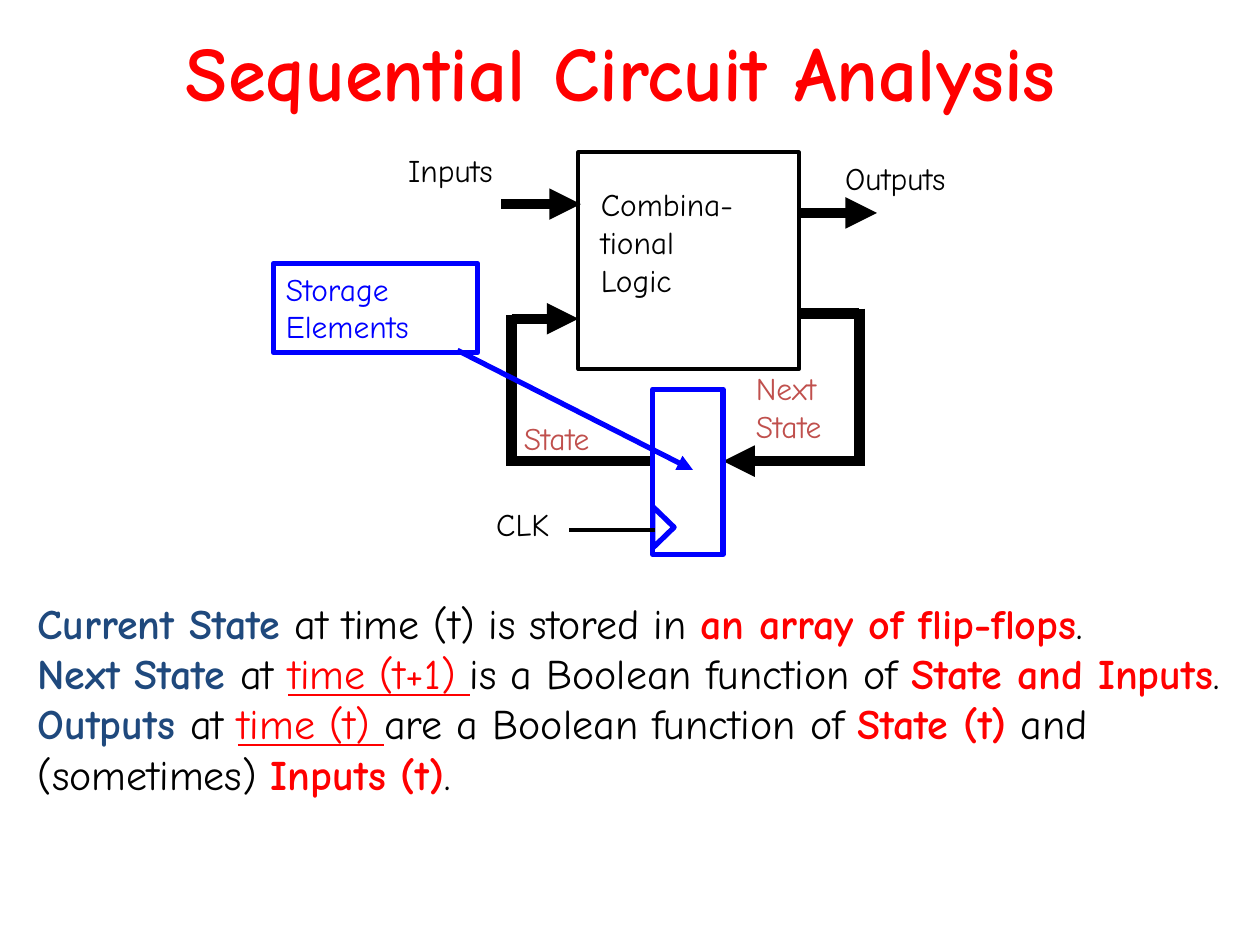
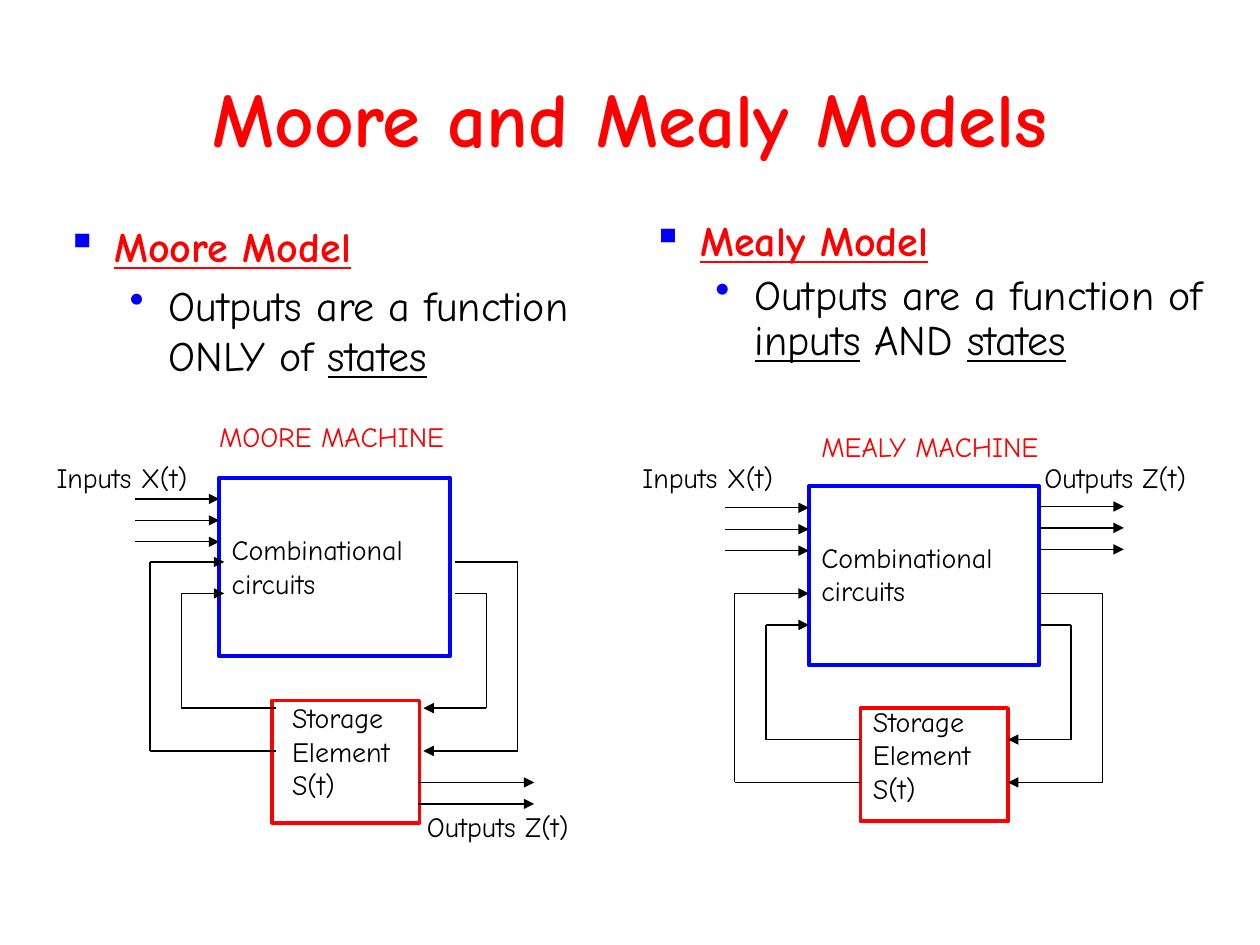
from lxml import etree
from pptx import Presentation
from pptx.dml.color import RGBColor
from pptx.enum.shapes import MSO_CONNECTOR as CONN, MSO_SHAPE as SHAPE
from pptx.enum.text import MSO_ANCHOR as ANCHOR, MSO_AUTO_SIZE as AUTO, PP_ALIGN as ALIGN
from pptx.oxml.ns import qn
from pptx.util import Inches, Pt

FONT = "Comic Neue"
BLACK, RED, BLUE, NAVY, BRICK = "000000", "FF0000", "0000FF", "1F497D", "C0504D"

STYLES = {
    "plain": (BLACK, {}),
    "red": (RED, {}),
    "blue": (BLUE, {}),
    "state": (BRICK, {}),
    "term": (NAVY, {"bold": True}),
    "key": (RED, {"bold": True}),
    "time": (RED, {"underline": True}),
    "under": (BLACK, {"underline": True}),
    "heading": (RED, {"bold": True, "underline": True}),
}

TITLES = [
    ("Sequential Circuit Analysis", (0.68, 0, 8.5, 1.12)),
    ("Moore and Mealy Models", (0.5, 0.3, 9, 1.25)),
]

CIRCUIT_LABELS = [
    (["Combina-tional", "Logic"], (4.67, 1.42, 1.63, 1.01), "plain"),
    (["Inputs"], (3.14, 1.15, 1.15, 0.4), "plain"),
    (["State"], (4.06, 3.28, 0.94, 0.4), "state"),
    (["Next", "State"], (5.9, 2.88, 1.08, 0.71), "state"),
    (["Outputs"], (6.61, 1.21, 1.39, 0.4), "plain"),
    (["CLK"], (3.84, 3.96, 0.94, 0.4), "plain"),
]

BUSES = [
    ((3.98, 1.62), (4.61, 1.62), True),
    ((5.18, 3.66), (4.07, 3.66), False),
    ((4.06, 2.53), (4.59, 2.53), True),
    ((4.06, 2.5), (4.06, 3.7), False),
    ((6.34, 2.49), (6.82, 2.49), False),
    ((6.8, 3.66), (5.74, 3.66), True),
    ((6.82, 2.45), (6.82, 3.7), False),
    ((6.34, 1.69), (6.96, 1.69), True),
]

STATE_NOTES = [
    [("Current State ", "term"), ("at time (t) is stored in ", "plain"),
     ("an array of flip-flops", "key"), (".", "plain")],
    [("Next State ", "term"), ("at ", "plain"), ("time (t+1) ", "time"),
     ("is a Boolean function of ", "plain"), ("State and Inputs", "key"), (".", "plain")],
    [("Outputs ", "term"), ("at ", "plain"), ("time (t) ", "time"),
     ("are a Boolean function of ", "plain"), ("State (t)", "key"),
     (" and (sometimes) ", "plain"), ("Inputs (t)", "key"), (".", "plain")],
]

MODELS = [
    {"heading": "Mealy Model", "caption": "MEALY MACHINE",
     "rule": [("Outputs are a function of ", "plain"), ("inputs", "under"),
              (" AND ", "plain"), ("states", "under")],
     "rule_at": (5.08, 1.7, 4.62, 2.73), "spacing": 0.9,
     "logic": (6.42, 3.86), "logic_text": (6.42, 4.24),
     "storage": (6.83, 5.62, 1.17, 0.9), "storage_text": (6.83, 5.54),
     "caption_at": (6.42, 3.36, 2.15), "inputs_at": (5, 3.61, 1.39),
     "outputs": "Outputs Z(t)", "outputs_at": (8.19, 3.61, 1.61),
     "output_arrows": (8.25, 4.02, 0.67, 3), "loop": (5.83, 4.71)},
    {"heading": "Moore Model", "caption": "MOORE MACHINE",
     "rule": [("Outputs are a function ONLY of ", "plain"), ("states", "under")],
     "rule_at": (0.43, 1.7, 4.74, 2.75), "spacing": 1.0,
     "logic": (1.74, 3.79), "logic_text": (1.74, 4.18),
     "storage": (2.16, 5.56, 1.17, 0.97), "storage_text": (2.22, 5.51),
     "caption_at": (1.64, 3.28, 2.22), "inputs_at": (0.35, 3.61, 1.39),
     "outputs": "Outputs Z(t)", "outputs_at": (3.29, 6.38, 1.55),
     "output_arrows": (3.32, 6.21, 0.92, 2), "loop": (1.19, 4.46)},
]

LOGIC_SIZE = (1.83, 1.42)
ARROW_GAP = 0.17
BULLETS = [("▪", 0.38, 0.38), ("•", 0.81, 0.31)]


def rgb(value):
    return RGBColor.from_string(value)


def fill_text(tf, paragraphs, size, wrap=True):
    tf.word_wrap = wrap
    tf.auto_size = AUTO.NONE if wrap else AUTO.SHAPE_TO_FIT_TEXT
    tf.vertical_anchor = ANCHOR.TOP
    for i, runs in enumerate(paragraphs):
        p = tf.paragraphs[0] if i == 0 else tf.add_paragraph()
        p.alignment = ALIGN.LEFT
        for text, style in runs:
            r = p.add_run()
            r.text = text
            color, extra = STYLES[style]
            for name, value in {"name": FONT, "size": Pt(size), **extra}.items():
                setattr(r.font, name, value)
            r.font.color.rgb = rgb(color)
    return tf


def add_text(s, at, paragraphs, size, wrap=True):
    sp = s.shapes.add_textbox(*map(Inches, at))
    return fill_text(sp.text_frame, paragraphs, size, wrap)


def add_label(s, lines, at, style, size, wrap=True):
    return add_text(s, at, [[(line, style)] for line in lines], size, wrap)


def add_outline(s, at, color, width, kind=SHAPE.RECTANGLE):
    sp = s.shapes.add_shape(kind, *map(Inches, at))
    sp.shadow.inherit = False
    sp.fill.background()
    sp.line.color.rgb = rgb(color)
    sp.line.width = Pt(width)
    return sp


def add_wire(s, points, width, color=BLACK, arrow=True):
    for start, end in zip(points, points[1:]):
        c = s.shapes.add_connector(CONN.STRAIGHT, *map(Inches, (*start, *end)))
        c.line.color.rgb = rgb(color)
        c.line.width = Pt(width)
        if arrow and end == points[-1]:
            etree.SubElement(c.line._get_or_add_ln(), qn("a:tailEnd"), type="triangle")
        etree.SubElement(c._element.spPr, qn("a:effectLst"))


def add_bullet(p, char, margin, hang):
    pPr = p._p.get_or_add_pPr()
    pPr.set("marL", str(Inches(margin)))
    pPr.set("indent", str(-Inches(hang)))
    color = etree.SubElement(pPr, qn("a:buClr"))
    etree.SubElement(color, qn("a:srgbClr"), val=BLUE)
    etree.SubElement(pPr, qn("a:buChar"), char=char)


def add_slide(prs, title, at):
    s = prs.slides.add_slide(prs.slide_layouts[6])
    tf = add_text(s, at, [[(title, "key")]], 44)
    tf.vertical_anchor = ANCHOR.MIDDLE
    tf.paragraphs[0].alignment = ALIGN.CENTER
    return s


def draw_circuit(s):
    add_outline(s, (4.59, 1.21, 1.75, 1.72), BLACK, 2.25)
    for start, end, arrow in BUSES:
        add_wire(s, [start, end], 6, arrow=arrow)
    add_outline(s, (5.18, 3.09, 0.56, 1.31), BLUE, 3)
    storage = add_outline(s, (2.17, 2.09, 1.62, 0.71), BLUE, 3)
    fill_text(storage.text_frame, [[("Storage Elements", "blue")]], 18)
    add_wire(s, [(3.63, 2.78), (5.5, 3.73)], 3, BLUE)
    clock = add_outline(s, (5.1, 4.1, 0.33, 0.17), BLUE, 3, SHAPE.ISOSCELES_TRIANGLE)
    clock.rotation = 90
    add_wire(s, [(5.2, 4.21), (4.52, 4.21)], 2.25, arrow=False)
    for lines, at, style in CIRCUIT_LABELS:
        add_label(s, lines, at, style, 18)
    add_text(s, (0.2, 4.69, 9.61, 1.75), STATE_NOTES, 24)


def draw_arrows(s, x, y, length, count):
    for i in range(count):
        row = y + i * ARROW_GAP
        add_wire(s, [(x, row), (x + length, row)], 0.75)


def draw_loops(s, x, y):
    for lane, top, bottom in [(0.25, 0.25, 1.16), (0, 0, 1.5)]:
        left, right = x + lane, x + 2.92 - lane
        top, bottom = y + top, y + bottom
        add_wire(s, [(x + 2.42, top), (right, top), (right, bottom), (x + 2.17, bottom)], 0.75)
        add_wire(s, [(x + 1, bottom), (left, bottom), (left, top), (x + 0.59, top)], 0.75)


def draw_model(s, m):
    tf = add_text(s, m["rule_at"], [[(m["heading"], "heading")], m["rule"]], 24)
    for p, bullet in zip(tf.paragraphs, BULLETS):
        add_bullet(p, *bullet)
        p.line_spacing = m["spacing"]
    tf.paragraphs[1].space_before = Pt(4.8)

    x, y = m["logic"]
    add_outline(s, (x, y, *LOGIC_SIZE), BLUE, 2.25)
    add_outline(s, m["storage"], RED, 2.25)
    draw_arrows(s, x - 0.67, y + ARROW_GAP, 0.67, 3)
    draw_arrows(s, *m["output_arrows"])
    draw_loops(s, *m["loop"])
    for lines, at, style in [
        (["Combinational", "circuits"], (*m["logic_text"], 1.64, 0.64), "plain"),
        (["Storage", "Element", "S(t)"], (*m["storage_text"], 1.05, 0.91), "plain"),
        (["Inputs X(t)"], (*m["inputs_at"], 0.37), "plain"),
        ([m["outputs"]], (*m["outputs_at"], 0.37), "plain"),
        ([m["caption"]], (*m["caption_at"], 0.37), "red"),
    ]:
        add_label(s, lines, at, style, 16, wrap=False)


def main():
    """Build the two slides on sequential circuits and save them."""
    prs = Presentation()
    prs.slide_width, prs.slide_height = Inches(10), Inches(7.5)
    circuit, models = [add_slide(prs, *title) for title in TITLES]
    draw_circuit(circuit)
    for m in MODELS:
        draw_model(models, m)
    prs.save("out.pptx")


if __name__ == "__main__":
    main()
